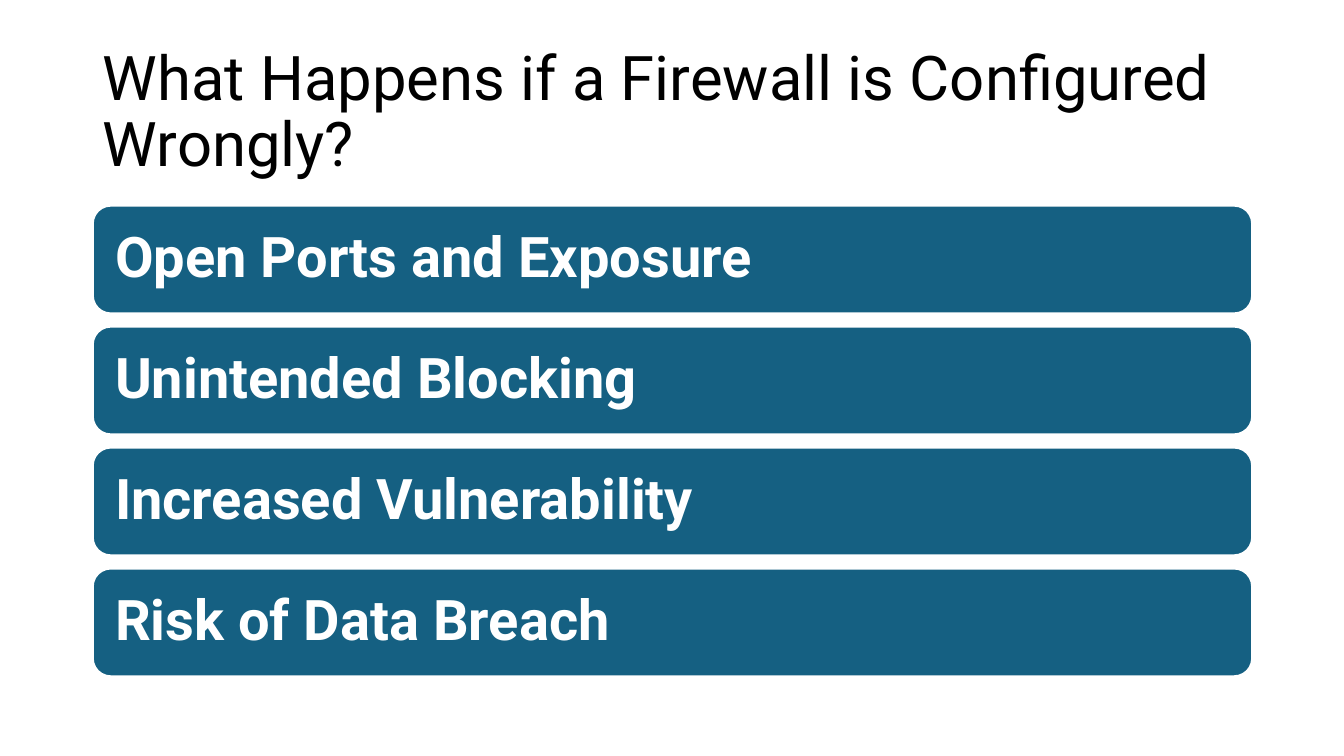
"""Build the slide on the consequences of a wrongly configured firewall."""
from pptx import Presentation
from pptx.dml.color import RGBColor
from pptx.enum.shapes import MSO_SHAPE
from pptx.enum.text import MSO_ANCHOR, MSO_AUTO_SIZE, PP_ALIGN
from pptx.util import Inches, Pt

TITLE = "What Happens if a Firewall is Configured Wrongly?"
CONSEQUENCES = [
    "Open Ports and Exposure",
    "Unintended Blocking",
    "Increased Vulnerability",
    "Risk of Data Breach",
]
FONT = "Roboto"
BLACK, WHITE, BLUE = "000000", "FFFFFF", "156082"
LEFT, WIDTH = 0.92, 11.5
BAR_TOP, BAR_HEIGHT, BAR_STEP = 2.04, 1.07, 1.2
BAR_INSET = 0.17


def color(hex_code):
    return RGBColor.from_string(hex_code)


def write(frame, text, size, hex_code, bold=False):
    frame.text = text
    frame.word_wrap = True
    frame.auto_size = MSO_AUTO_SIZE.NONE
    frame.vertical_anchor = MSO_ANCHOR.MIDDLE
    paragraph = frame.paragraphs[0]
    paragraph.alignment = PP_ALIGN.LEFT
    paragraph.line_spacing = 0.9
    font = paragraph.runs[0].font
    font.name = FONT
    font.size = Pt(size)
    font.bold = bold
    font.color.rgb = color(hex_code)


def add_bar(slide, text, top):
    bar = slide.shapes.add_shape(
        MSO_SHAPE.ROUNDED_RECTANGLE,
        Inches(LEFT), Inches(top), Inches(WIDTH), Inches(BAR_HEIGHT))
    bar.shadow.inherit = False
    bar.fill.solid()
    bar.fill.fore_color.rgb = color(BLUE)
    bar.line.color.rgb = color(WHITE)
    bar.line.width = Pt(1.5)
    frame = bar.text_frame
    frame.margin_left = frame.margin_right = Inches(BAR_INSET)
    frame.margin_top = frame.margin_bottom = Inches(BAR_INSET)
    write(frame, text, 40, WHITE, bold=True)


def main():
    deck = Presentation()
    deck.slide_width, deck.slide_height = Inches(13.33), Inches(7.5)
    slide = deck.slides.add_slide(deck.slide_layouts[5])

    title = slide.shapes.title
    title.left, title.top = Inches(LEFT), Inches(0.4)
    title.width, title.height = Inches(WIDTH), Inches(1.45)
    write(title.text_frame, TITLE, 44, BLACK)

    for index, consequence in enumerate(CONSEQUENCES):
        add_bar(slide, consequence, BAR_TOP + index * BAR_STEP)

    deck.save("out.pptx")


if __name__ == "__main__":
    main()
